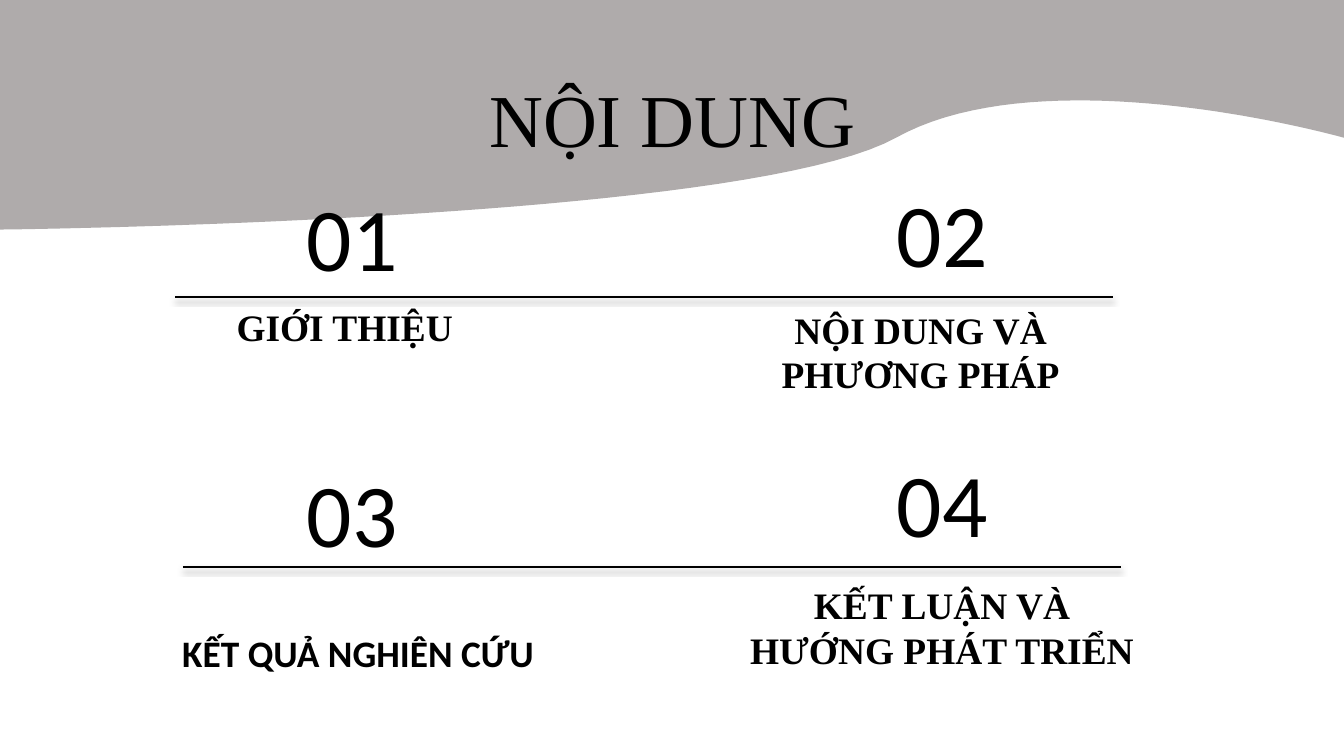
import pptx
import pptx.util
import pptx.dml.color
import pptx.enum.shapes
import pptx.enum.text
import pptx.oxml
import pptx.oxml.ns

Pt = pptx.util.Pt
ANCHOR = pptx.enum.text.MSO_ANCHOR
SERIF, SANS = "Times New Roman", "Calibri"
BLACK = "000000"


def color(value):
    return pptx.dml.color.RGBColor.from_string(value)


def add_text(s, text, left, top, width, height, size, font, anchor, bold=False):
    tf = s.shapes.add_textbox(Pt(left), Pt(top), Pt(width), Pt(height)).text_frame
    tf.word_wrap = True
    tf.vertical_anchor = anchor
    tf.margin_left = tf.margin_right = tf.margin_top = tf.margin_bottom = Pt(7.2)
    p = tf.paragraphs[0]
    p.text = text
    p.alignment = pptx.enum.text.PP_ALIGN.CENTER
    p.font.size = Pt(size)
    p.font.name = font
    p.font.bold = bold
    p.font.color.rgb = color(value=BLACK)


prs = pptx.Presentation()
prs.slide_width, prs.slide_height = Pt(720), Pt(405)
s = prs.slides.add_slide(prs.slide_layouts[6])

curves = [
    [(0, 123), (0, 123), (399.6, 118.8), (480, 73.8)],
    [(480, 73.8), (560.9, 28.8), (720, 73.8), (720, 73.8)],
]
steps = 40
edge = []
for curve in curves:
    for i in range(steps + 1):
        t = i / steps
        weights = [(1 - t) ** 3, 3 * t * (1 - t) ** 2, 3 * t ** 2 * (1 - t), t ** 3]
        edge.append(tuple(Pt(sum(w * pt[axis] for w, pt in zip(weights, curve)))
                          for axis in (0, 1)))
builder = s.shapes.build_freeform(0, 0)
builder.add_line_segments(edge + [(Pt(720), 0)], close=True)
wave = builder.convert_to_shape()
wave.shadow.inherit = False
wave.fill.solid()
wave.fill.fore_color.rgb = color("AFABAB")
wave.line.fill.background()

add_text(s, "NỘI DUNG", 88.5, 31.7, 543.6, 74.2, 40, SERIF, ANCHOR.TOP)

items = [
    ("01", 119.5, 103.7, "GIỚI THIỆU", 81, 161.3, 207.4, 33.1, SERIF),
    ("03", 119.5, 251.3, "KẾT QUẢ NGHIÊN CỨU", 78.5, 323.3, 226.8, 45.4, SANS),
    ("02", 435.6, 101.5, "NỘI DUNG VÀ PHƯƠNG PHÁP", 389.5, 174.2, 207.4, 45.4, SERIF),
    ("04", 435.6, 246.2, "KẾT LUẬN VÀ HƯỚNG PHÁT TRIỂN", 389.5, 321.8, 230.4, 45.4, SERIF),
]
for number, x, y, label, left, top, width, height, font in items:
    add_text(s, label, left, top, width, height, 20, font, ANCHOR.BOTTOM, True)
    add_text(s, number, x, y, 138.2, 45.4, 48, SANS, ANCHOR.MIDDLE)

for x, y in [(98, 303.8), (94, 159.1)]:
    rule = s.shapes.add_connector(
        pptx.enum.shapes.MSO_CONNECTOR.STRAIGHT, Pt(x), Pt(y), Pt(x + 502.4), Pt(y))
    rule.line.color.rgb = color(BLACK)
    rule.line.width = Pt(1)
    rule._element.spPr.append(pptx.oxml.parse_xml(
        f'<a:effectLst {pptx.oxml.ns.nsdecls("a")}>'
        f'<a:outerShdw blurRad="{Pt(3.1)}" dist="{Pt(1.6)}" dir="5400000" rotWithShape="0">'
        f'<a:srgbClr val="{BLACK}"><a:alpha val="38000"/></a:srgbClr>'
        '</a:outerShdw></a:effectLst>'))

prs.save("out.pptx")
